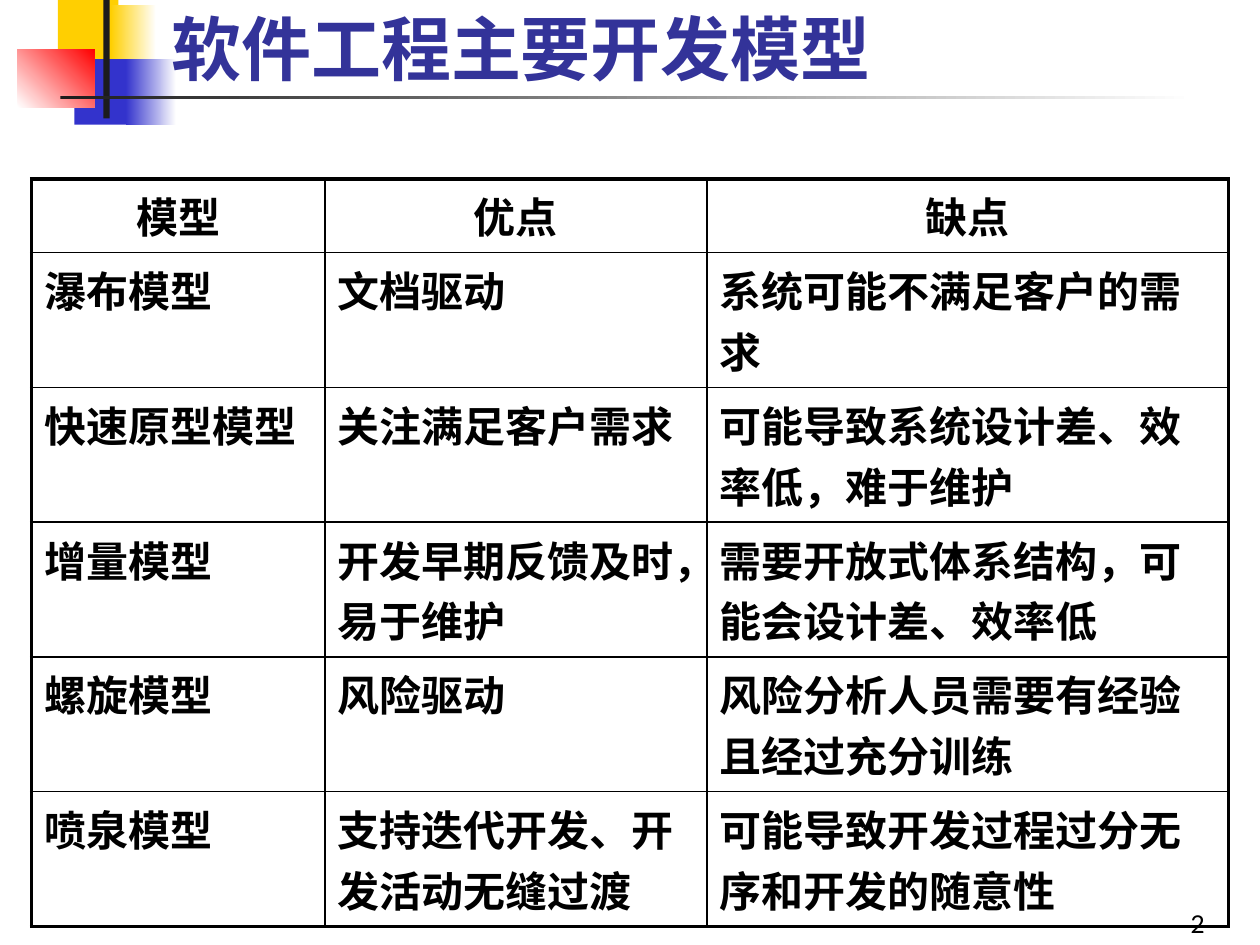
"""Build a slide comparing the main software development models."""
from lxml.etree import SubElement
from pptx import Presentation
from pptx.dml.color import RGBColor
from pptx.enum.shapes import MSO_SHAPE
from pptx.enum.text import MSO_ANCHOR, MSO_AUTO_SIZE, PP_ALIGN
from pptx.oxml.ns import qn
from pptx.util import Inches, Pt

BLACK = RGBColor(0x00, 0x00, 0x00)
WHITE = RGBColor(0xFF, 0xFF, 0xFF)
YELLOW = RGBColor(0xFF, 0xCF, 0x01)
BLUE = RGBColor(0x33, 0x33, 0xCC)
RED = RGBColor(0xFF, 0x00, 0x00)
DARK = RGBColor(0x1C, 0x1C, 0x1C)
NAVY = RGBColor(0x33, 0x33, 0x99)
FONT = "Lato"

prs = Presentation()
prs.slide_width, prs.slide_height = Inches(10), Inches(7.5)
UNIT = prs.slide_width // 100


def grid(*cells):
    return [round(c * UNIT) for c in cells]


def style(p, size, color, bold, align):
    p.alignment = align
    for r in p.runs:
        r.font.name, r.font.size, r.font.bold = FONT, Pt(size), bold
        r.font.color.rgb = color


s = prs.slides.add_slide(prs.slide_layouts[5])

decorations = [
    ((4.6, 0, 4.8, 5.2), (YELLOW,), 0),
    ((8.8, 0.4, 3.6, 5.2), (YELLOW, WHITE), 0),
    ((5.9, 4.7, 4.6, 5.2), (BLUE,), 0),
    ((10, 4.7, 4, 5.2), (BLUE, WHITE), 0),
    ((1.4, 3.9, 6.1, 4.6), (WHITE, RED), 45),
    ((8.2, 0, 0.5, 9.4), (DARK,), 0),
    ((4.8, 7.6, 90, 0.3), (DARK, WHITE), 0),
]
for box, colors, angle in decorations:
    sp = s.shapes.add_shape(MSO_SHAPE.RECTANGLE, *grid(*box))
    sp.shadow.inherit = False
    sp.line.fill.background()
    if len(colors) == 1:
        sp.fill.solid()
        sp.fill.fore_color.rgb = colors[0]
    else:
        sp.fill.gradient()
        sp.fill.gradient_angle = angle
        for stop, color in zip(sp.fill.gradient_stops, colors):
            stop.color.rgb = color

title = s.shapes.title
s.shapes.element.append(title.element)
title.left, title.top, title.width, title.height = grid(12.6, 0.8, 85.2, 6.8)
tf = title.text_frame
tf.text = "软件工程主要开发模型"
tf.vertical_anchor = MSO_ANCHOR.BOTTOM
tf.auto_size = MSO_AUTO_SIZE.NONE
style(tf.paragraphs[0], 40, NAVY, True, PP_ALIGN.LEFT)

rows = [
    ("模型", "优点", "缺点"),
    ("瀑布模型", "文档驱动", "系统可能不满足客户的需求"),
    ("快速原型模型", "关注满足客户需求", "可能导致系统设计差、效率低，难于维护"),
    ("增量模型", "开发早期反馈及时，易于维护", "需要开放式体系结构，可能会设计差、效率低"),
    ("螺旋模型", "风险驱动", "风险分析人员需要有经验且经过充分训练"),
    ("喷泉模型", "支持迭代开发、开发活动无缝过渡", "可能导致开发过程过分无序和开发的随意性"),
]
widths = grid(23.3, 30.3, 41.4)
heights = grid(5.8, *[10.7] * 5)
last_row, last_col = len(heights) - 1, len(widths) - 1
table = s.shapes.add_table(len(heights), len(widths), *grid(2.5, 14.2),
                           sum(widths), sum(heights)).table
table.first_row = table.horz_banding = False
for column, width in zip(table.columns, widths):
    column.width = width
for row, height in zip(table.rows, heights):
    row.height = height

for i, texts in enumerate(rows):
    for j, text in enumerate(texts):
        cell = table.cell(i, j)
        cell.text_frame.text = text
        style(cell.text_frame.paragraphs[0], 24, BLACK, True,
              PP_ALIGN.LEFT if i else PP_ALIGN.CENTER)
        outer = {"L": j == 0, "R": j == last_col, "T": i == 0, "B": i == last_row}
        for side, thick in outer.items():
            ln = SubElement(cell._tc.get_or_add_tcPr(), qn(f"a:ln{side}"),
                            w=str(Pt(2.25 if thick else 1)))
            fill = SubElement(ln, qn("a:solidFill"))
            SubElement(fill, qn("a:srgbClr"), val=str(BLACK))
        cell.fill.background()

number = s.shapes.add_textbox(*grid(75.8, 70, 20.8, 5))
tf = number.text_frame
tf.word_wrap = True
tf.vertical_anchor = MSO_ANCHOR.BOTTOM
tf.text = "2"
style(tf.paragraphs[0], 14, BLACK, False, PP_ALIGN.RIGHT)

prs.save("out.pptx")
